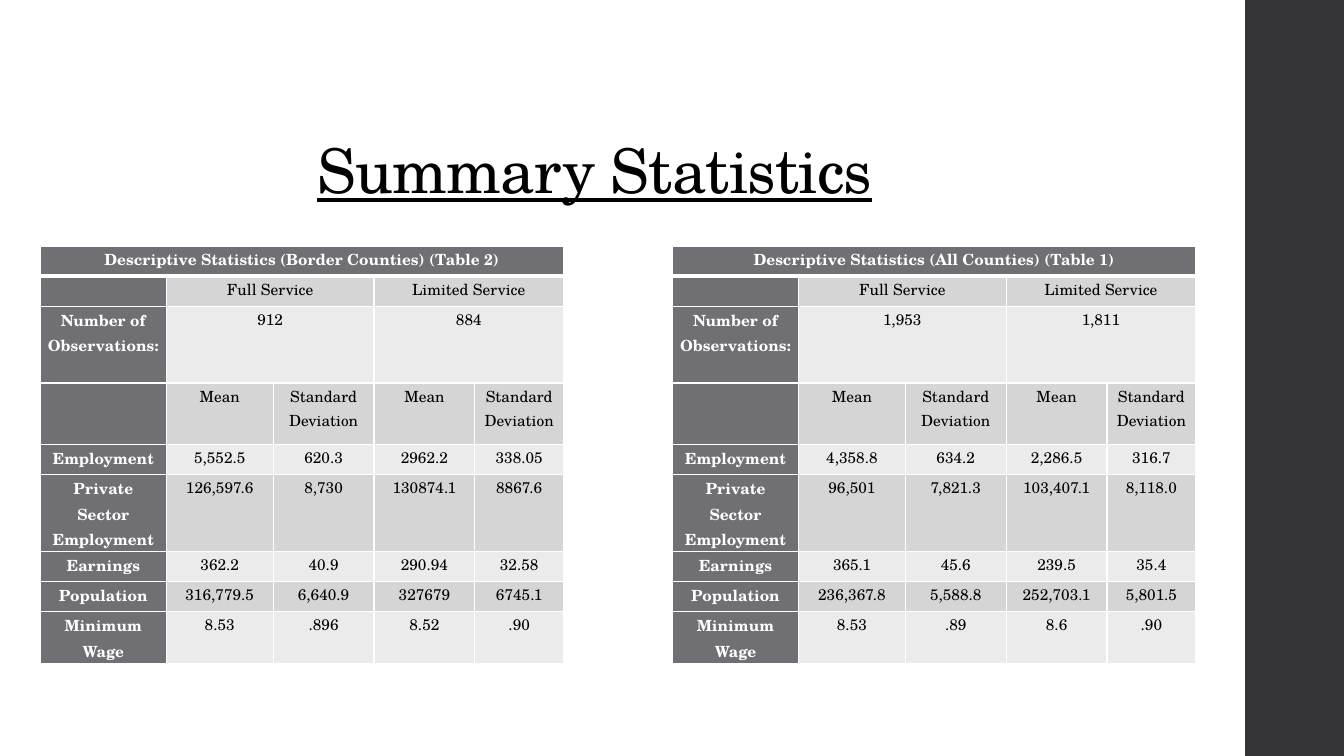
from dataclasses import dataclass

from lxml.etree import SubElement
from pptx import Presentation
from pptx.dml.color import RGBColor as RGB
from pptx.enum.shapes import MSO_SHAPE as Shape
from pptx.enum.text import MSO_ANCHOR as Anchor, PP_ALIGN as Align
from pptx.oxml.ns import qn
from pptx.util import Inches, Pt

# Content: one label column, then one list of row values per table
TITLE = "Summary Statistics"
LABELS = ["", "Number of Observations:", "", "Employment",
          "Private Sector Employment", "Earnings", "Population", "Minimum Wage"]
SERVICES = ["Full Service", "Limited Service"]
MEASURES = ["Mean", "Standard Deviation"] * 2
ALL_COUNTIES = ("Descriptive Statistics (All Counties) (Table 1)", [
    SERVICES,
    ["1,953", "1,811"],
    MEASURES,
    ["4,358.8", "634.2", "2,286.5", "316.7"],
    ["96,501", "7,821.3", "103,407.1", "8,118.0"],
    ["365.1", "45.6", "239.5", "35.4"],
    ["236,367.8", "5,588.8", "252,703.1", "5,801.5"],
    ["8.53", ".89", "8.6", ".90"],
])
BORDER_COUNTIES = ("Descriptive Statistics (Border Counties) (Table 2)", [
    SERVICES,
    ["912", "884"],
    MEASURES,
    ["5,552.5", "620.3", "2962.2", "338.05"],
    ["126,597.6", "8,730", "130874.1", "8867.6"],
    ["362.2", "40.9", "290.94", "32.58"],
    ["316,779.5", "6,640.9", "327679", "6745.1"],
    ["8.53", ".896", "8.52", ".90"],
])

# Grid, in inches
SLIDE_W, SLIDE_H = 13.33, 7.5
SIDEBAR_LEFT = 12.35
TITLE_LEFT, TITLE_TOP, TITLE_H = 3.05, 0.65, 1.45
TABLE_TOP = 2.44
TABLES = [(6.67, ALL_COUNTIES), (0.4, BORDER_COUNTIES)]
COLUMNS = [1.25, 1.06, 1, 1, 0.88]
# Row heights by the number of text lines they hold
SINGLE, DOUBLE, MEASURE, TRIPLE = 0.3, 0.51, 0.61, 0.76
ROWS = [SINGLE, SINGLE, TRIPLE, MEASURE, SINGLE, TRIPLE, SINGLE, SINGLE, DOUBLE]


@dataclass(frozen=True)
class Theme:
    font: str = "TeX Gyre Schola"
    title_size: int = 44
    table_size: int = 11
    ink: str = "000000"
    paper: str = "FFFFFF"
    sidebar: str = "353537"
    header: str = "6F6F74"
    bands: tuple = ("EBEBEB", "D5D5D6")
    rule: int = 1
    heavy_rule: int = 3


THEME = Theme()


def write(paragraph, text, size, color, bold=False):
    run = paragraph.add_run()
    run.text = text
    run.font.name = THEME.font
    run.font.size = Pt(size)
    run.font.bold = bold
    run.font.color.rgb = RGB.from_string(color)
    return run


def rule_cell(cell, row):
    """White rules on every side, heavier under the heading row."""
    heavy_side = {0: "lnB", 1: "lnT"}.get(row)
    for side in ("lnL", "lnR", "lnT", "lnB"):
        width = THEME.heavy_rule if side == heavy_side else THEME.rule
        line = SubElement(cell._tc.get_or_add_tcPr(), qn(f"a:{side}"), w=str(Pt(width)))
        SubElement(SubElement(line, qn("a:solidFill")), qn("a:srgbClr"), val=THEME.paper)


def style_cell(cell, row, column):
    cell.margin_left = cell.margin_right = Inches(0.07)
    cell.margin_top = cell.margin_bottom = 0
    rule_cell(cell, row)
    is_header = row == 0 or column == 0
    cell.fill.solid()
    cell.fill.fore_color.rgb = RGB.from_string(THEME.header if is_header else THEME.bands[row % 2])


def fill_cell(cell, text, is_header):
    paragraph = cell.text_frame.paragraphs[0]
    paragraph.alignment = Align.CENTER
    paragraph.line_spacing = 1.07
    if text:
        write(paragraph, text, THEME.table_size,
              THEME.paper if is_header else THEME.ink, is_header)
    else:
        # Keeps an empty cell from stretching its row
        SubElement(paragraph._p, qn("a:endParaRPr"), sz=str(THEME.table_size * 100))


def add_statistics(slide, left, heading, values):
    table = slide.shapes.add_table(
        len(ROWS), len(COLUMNS), Inches(left), Inches(TABLE_TOP),
        Inches(sum(COLUMNS)), Inches(sum(ROWS))).table
    for column, width in zip(table.columns, COLUMNS):
        column.width = Inches(width)
    for row, height in zip(table.rows, ROWS):
        row.height = Inches(height)
    for r in range(len(ROWS)):
        for c in range(len(COLUMNS)):
            style_cell(table.cell(r, c), r, c)

    # Heading spans the table
    table.cell(0, 0).merge(table.cell(0, len(COLUMNS) - 1))
    fill_cell(table.cell(0, 0), heading, True)

    # Rows with two values span two columns per value
    for r, (label, row_values) in enumerate(zip(LABELS, values), 1):
        fill_cell(table.cell(r, 0), label, True)
        span = (len(COLUMNS) - 1) // len(row_values)
        for i, value in enumerate(row_values):
            c = 1 + i * span
            if span > 1:
                table.cell(r, c).merge(table.cell(r, c + span - 1))
            fill_cell(table.cell(r, c), value, False)


def main():
    deck = Presentation()
    deck.slide_width, deck.slide_height = Inches(SLIDE_W), Inches(SLIDE_H)
    slide = deck.slides.add_slide(deck.slide_layouts[6])

    # Sidebar
    sidebar = slide.shapes.add_shape(
        Shape.RECTANGLE, Inches(SIDEBAR_LEFT), 0,
        Inches(SLIDE_W - SIDEBAR_LEFT), Inches(SLIDE_H))
    sidebar.shadow.inherit = False
    sidebar.fill.solid()
    sidebar.fill.fore_color.rgb = RGB.from_string(THEME.sidebar)
    sidebar.line.fill.background()

    # Title
    title = slide.shapes.add_textbox(
        Inches(TITLE_LEFT), Inches(TITLE_TOP),
        Inches(SLIDE_W - TITLE_LEFT), Inches(TITLE_H)).text_frame
    title.word_wrap = True
    title.vertical_anchor = Anchor.BOTTOM
    title.paragraphs[0].line_spacing = 0.9
    title_run = write(title.paragraphs[0], TITLE, THEME.title_size, THEME.ink)
    title_run.font.underline = True
    title_run.font._element.set("spc", "-50")

    # Tables
    for left, (heading, values) in TABLES:
        add_statistics(slide, left, heading, values)

    deck.save("out.pptx")


if __name__ == "__main__":
    main()
